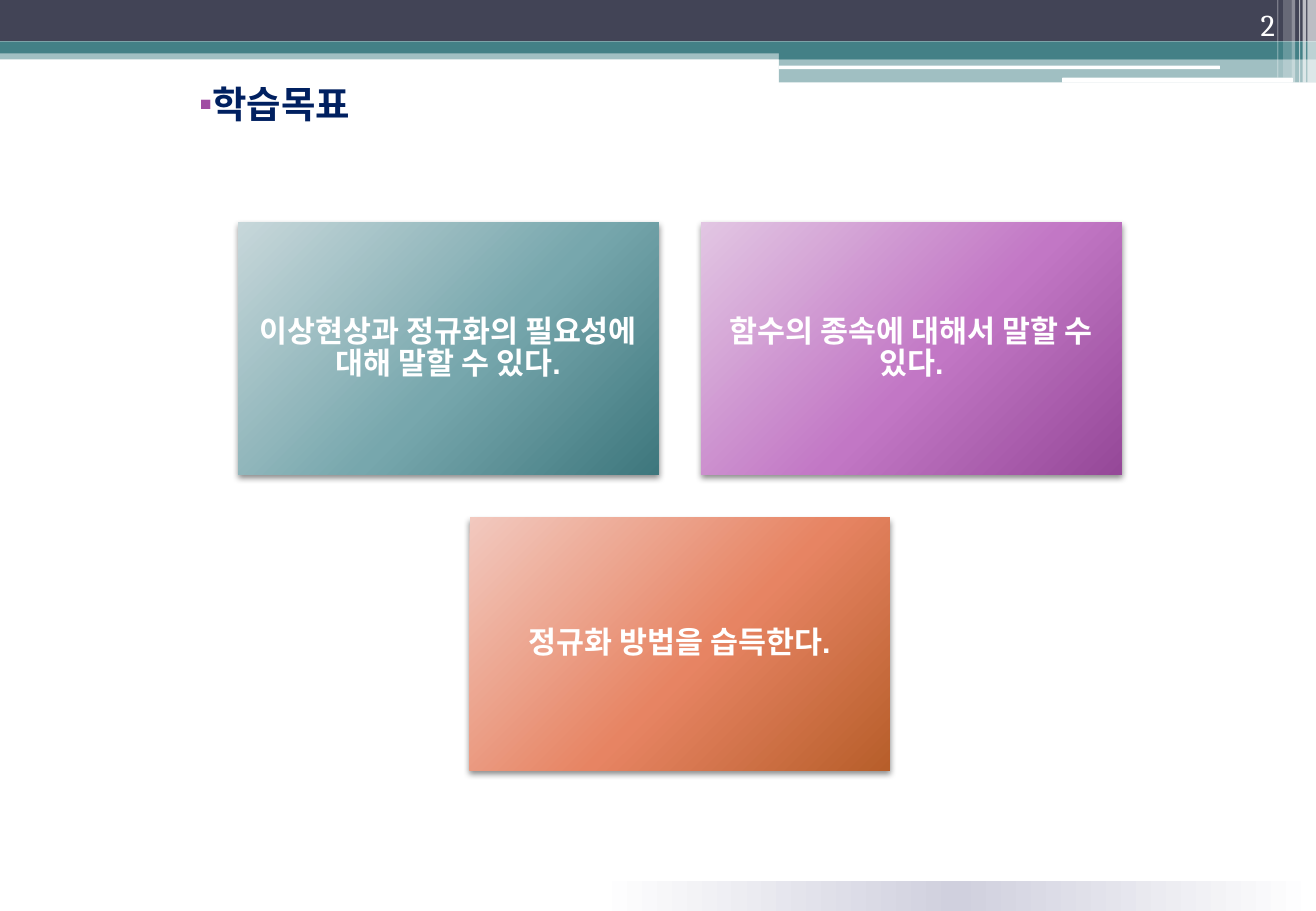
from pptx import Presentation
from pptx.dml.color import RGBColor
from pptx.enum.shapes import MSO_SHAPE as Kind
from pptx.enum.text import MSO_ANCHOR as Anchor, PP_ALIGN as Align
from pptx.oxml.ns import qn
from pptx.util import Inches, Pt
from lxml.etree import SubElement as Sub

WHITE = RGBColor(0xFF, 0xFF, 0xFF)
SLATE = RGBColor(0x42, 0x44, 0x56)
TEAL = RGBColor(0x43, 0x80, 0x86)
NAVY = RGBColor(0x00, 0x20, 0x60)
PLUM = RGBColor(0xA0, 0x4D, 0xA3)
MIST = RGBColor(0xD0, 0xD0, 0xDE)

TEALS = [RGBColor(0xC7, 0xD7, 0xDA), RGBColor(0x77, 0xA7, 0xAD),
         RGBColor(0x3E, 0x77, 0x7D)]
PLUMS = [RGBColor(0xE2, 0xC6, 0xE3), RGBColor(0xC2, 0x77, 0xC5),
         RGBColor(0x95, 0x48, 0x98)]
CORALS = [RGBColor(0xF2, 0xC9, 0xBF), RGBColor(0xE7, 0x84, 0x63),
          RGBColor(0xB7, 0x5E, 0x2A)]

WIDE, HIGH = 10.83, 7.5
CARD_W, CARD_H, GAP = 3.46, 2.08, 0.35
LEFT, TOP = 1.96, 1.83

# Left, top, width, height, colour, opacity in percent
BANDS = [
    (0, 0.4, WIDE, 0.09, TEAL, 50),
    (0, 0, WIDE, 0.34, SLATE, 100),
    (0, 0.34, WIDE, 0.1, TEAL, 100),
    (6.41, 0.39, 4.42, 0.1, TEAL, 100),
    (6.41, 0.48, 4.42, 0.2, TEAL, 50),
]
LINES = [(6.41, 0.54, 3.63, 0.03), (8.74, 0.64, 1.9, 0.04)]

# Left, width, height, opacity in percent
STRIPES = [
    (10.76, 0.07, 0.68, 65),
    (10.72, 0.03, 0.68, 65),
    (10.69, 0.01, 0.68, 60),
    (10.63, 0.03, 0.68, 40),
    (10.56, 0.07, 0.64, 20),
    (10.51, 0.01, 0.64, 30),
]


def add_box(slide, left, top, width, height, kind=Kind.RECTANGLE):
    box = slide.shapes.add_shape(kind, Inches(left), Inches(top),
                                 Inches(width), Inches(height))
    box.shadow.inherit = False
    box.line.fill.background()
    return box


def add_bar(slide, left, top, width, height, color, alpha=100,
            kind=Kind.RECTANGLE):
    bar = add_box(slide, left, top, width, height, kind)
    bar.fill.solid()
    bar.fill.fore_color.rgb = color
    if alpha < 100:
        tint = bar.fill._xPr.find(qn("a:solidFill"))[0]
        Sub(tint, qn("a:alpha"), val=str(alpha * 1000))


def set_fade(shape, colors, mid, angle):
    shape.fill.gradient()
    shape.fill.gradient_angle = angle
    stops = shape.fill._xPr.find(qn("a:gradFill")).find(qn("a:gsLst"))
    for stop in list(stops):
        stops.remove(stop)
    for place, color in zip((0, mid, 100), colors):
        stop = Sub(stops, qn("a:gs"), pos=str(place * 1000))
        Sub(stop, qn("a:srgbClr"), val=str(color))


def set_shade(shape):
    effects = shape.fill._xPr.find(qn("a:effectLst"))
    shade = Sub(effects, qn("a:outerShdw"), blurRad=str(Pt(4)),
                dist=str(Pt(2)), dir="5400000", rotWithShape="0")
    black = Sub(shade, qn("a:srgbClr"), val="000000")
    Sub(black, qn("a:alpha"), val="45000")


def add_run(para, text, size, font, color, bold=False):
    run = para.add_run()
    run.text = text
    run.font.size = Pt(size)
    run.font.name = font
    run.font.bold = bold
    run.font.color.rgb = color


def add_card(slide, left, top, text, colors):
    card = add_box(slide, left, top, CARD_W, CARD_H)
    set_fade(card, colors, 55, 315)
    set_shade(card)
    frame = card.text_frame
    frame.word_wrap = True
    frame.vertical_anchor = Anchor.MIDDLE
    frame.margin_left = frame.margin_right = Inches(0.07)
    frame.margin_top = frame.margin_bottom = Inches(0.07)
    para = frame.paragraphs[0]
    para.alignment = Align.CENTER
    para.line_spacing = 0.9
    add_run(para, text, 18, "Arial", WHITE, True)


def add_text(slide, left, top, width, height):
    box = slide.shapes.add_textbox(Inches(left), Inches(top),
                                   Inches(width), Inches(height))
    frame = box.text_frame
    frame.word_wrap = True
    frame.vertical_anchor = Anchor.BOTTOM
    return frame.paragraphs[0]


def add_bullet(para, mark, color):
    props = para._p.get_or_add_pPr()
    tint = Sub(props, qn("a:buClr"))
    Sub(tint, qn("a:srgbClr"), val=str(color))
    Sub(props, qn("a:buFont"), typeface="Arial")
    Sub(props, qn("a:buChar"), char=mark)


def add_frame(slide):
    # Header bands, white lines and stripes
    for band in BANDS:
        add_bar(slide, *band)
    for line in LINES:
        add_bar(slide, *line, WHITE, kind=Kind.ROUNDED_RECTANGLE)
    for left, width, height, alpha in STRIPES:
        add_bar(slide, left, 0, width, height, WHITE, alpha)

    # Footer glow and content panel
    glow = add_box(slide, 4.91, 7.25, 5.92, 0.25)
    set_fade(glow, [WHITE, MIST, WHITE], 50, 0)
    add_bar(slide, 0.33, 1.08, 10.5, 6.17, WHITE)


def main():
    deck = Presentation()
    deck.slide_width, deck.slide_height = Inches(WIDE), Inches(HIGH)
    slide = deck.slides.add_slide(deck.slide_layouts[6])
    add_frame(slide)

    # Goal cards: two above, one centred below
    step = CARD_W + GAP
    add_card(slide, LEFT, TOP,
             "이상현상과 정규화의 필요성에 대해 말할 수 있다.", TEALS)
    add_card(slide, LEFT + step, TOP,
             "함수의 종속에 대해서 말할 수 있다.", PLUMS)
    add_card(slide, LEFT + step / 2, TOP + CARD_H + GAP,
             "정규화 방법을 습득한다.", CORALS)

    # Heading
    head = add_text(slide, 1.54, 0.63, 7.71, 0.46)
    head.space_before = Pt(3)
    add_bullet(head, "▪", PLUM)
    add_run(head, "학습목표", 22.2, "Cambria", NAVY, True)

    # Page number
    page = add_text(slide, 9.69, 0, 0.9, 0.4)
    page.alignment = Align.RIGHT
    add_run(page, "2", 18, "Cambria", WHITE)

    deck.save("out.pptx")


if __name__ == "__main__":
    main()
